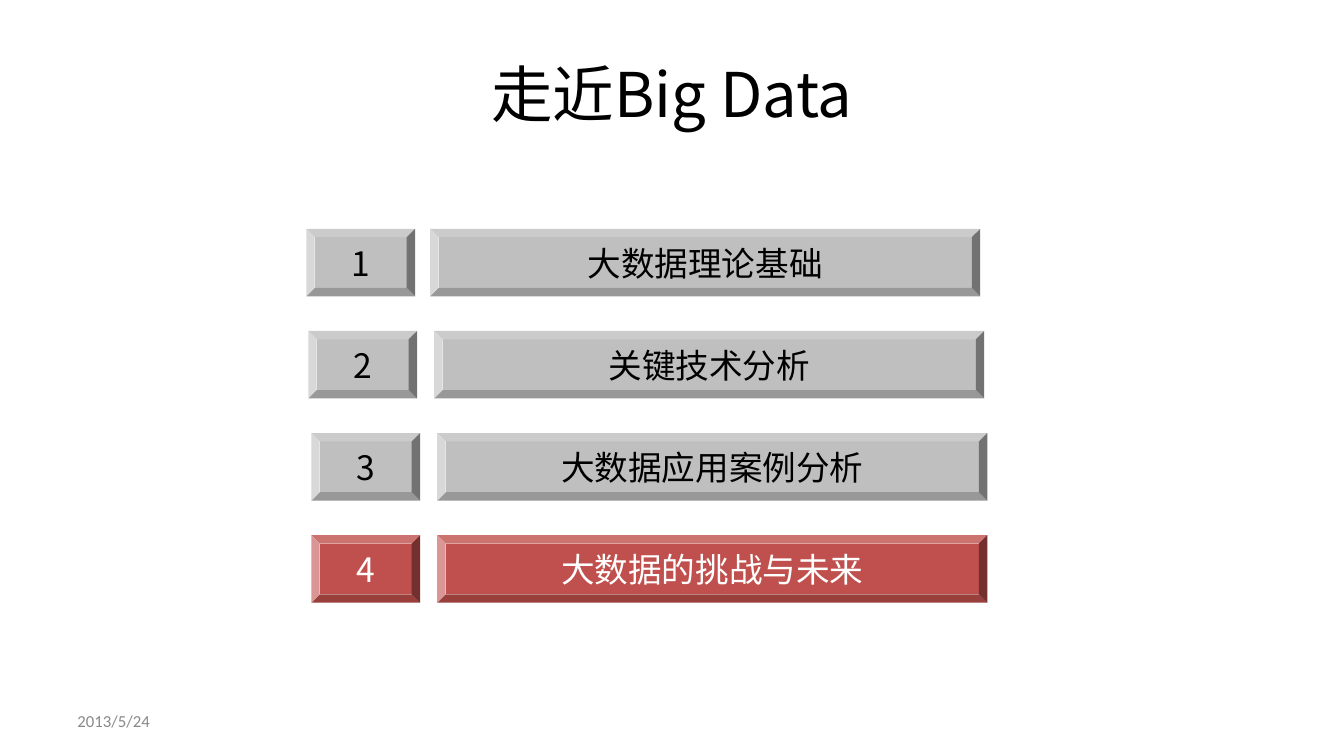
from dataclasses import dataclass

import lxml.etree
import pptx
import pptx.dml.color
import pptx.enum.shapes
import pptx.enum.text
import pptx.oxml.ns
import pptx.util

Inches = pptx.util.Inches
Align = pptx.enum.text.PP_ALIGN


@dataclass(frozen=True)
class Theme:
    font: str = "Noto Sans CJK SC"
    date_font: str = "Calibri"
    title_size: int = 44
    item_size: int = 24
    date_size: int = 12
    dark: str = "000000"
    light: str = "FFFFFF"
    muted: str = "898989"
    item_fill: str = "BFBFBF"
    current_fill: str = "C0504D"


THEME = Theme()
AGENDA = [
    ("大数据理论基础", 0, 1.23),
    ("关键技术分析", 0.02, 1.25),
    ("大数据应用案例分析", 0.05, 1.25),
    ("大数据的挑战与未来", 0.05, 1.25),
]
CURRENT_ITEM = 4


def rgb(value):
    return pptx.dml.color.RGBColor.from_string(value)


def write_text(shape, text, font_name, size, color, alignment):
    frame = shape.text_frame
    frame.word_wrap = True
    frame.vertical_anchor = pptx.enum.text.MSO_ANCHOR.MIDDLE
    paragraph = frame.paragraphs[0]
    paragraph.text = text
    paragraph.alignment = alignment
    font = paragraph.font
    font.name = font_name
    font.size = pptx.util.Pt(size)
    font.color.rgb = rgb(color)
    properties = paragraph._p.pPr.find(pptx.oxml.ns.qn("a:defRPr"))
    east_asian = lxml.etree.SubElement(properties, pptx.oxml.ns.qn("a:ea"))
    east_asian.set("typeface", font_name)


def add_title(slide, left, top, width, height):
    title = slide.shapes.add_textbox(*map(Inches, (left, top, width, height)))
    write_text(title, "走近Big Data", THEME.font, THEME.title_size, THEME.dark, Align.CENTER)


def add_date(slide, left, top, width, height):
    date = slide.shapes.add_textbox(*map(Inches, (left, top, width, height)))
    write_text(date, "2013/5/24", THEME.date_font, THEME.date_size, THEME.muted, Align.LEFT)


def add_bevel(slide, left, top, width, height, text, current):
    bevel = slide.shapes.add_shape(
        pptx.enum.shapes.MSO_SHAPE.BEVEL, *map(Inches, (left, top, width, height))
    )
    bevel.shadow.inherit = False
    bevel.fill.solid()
    bevel.fill.fore_color.rgb = rgb(THEME.current_fill if current else THEME.item_fill)
    bevel.line.fill.background()
    color = THEME.light if current else THEME.dark
    write_text(bevel, text, THEME.font, THEME.item_size, color, Align.CENTER)


def add_agenda(slide, left, top, width, height):
    row_height = 0.67
    number_width = 1.08
    label_width = width - 1.3
    pitch = (height - row_height) / (len(AGENDA) - 1)
    for number, (label, shift, label_offset) in enumerate(AGENDA, 1):
        row_left = left + shift
        row_top = top + (number - 1) * pitch
        current = number == CURRENT_ITEM
        add_bevel(slide, row_left + label_offset, row_top, label_width, row_height, label, current)
        add_bevel(slide, row_left, row_top, number_width, row_height, str(number), current)


def main():
    presentation = pptx.Presentation()
    presentation.slide_width = Inches(13.34)
    presentation.slide_height = Inches(7.5)
    slide = presentation.slides.add_slide(presentation.slide_layouts[6])
    add_title(slide, 0.67, 0.3, 12, 1.25)
    add_agenda(slide, 3.04, 2.27, 6.76, 3.71)
    add_date(slide, 0.67, 6.95, 3.11, 0.4)
    presentation.save("out.pptx")


if __name__ == "__main__":
    main()
